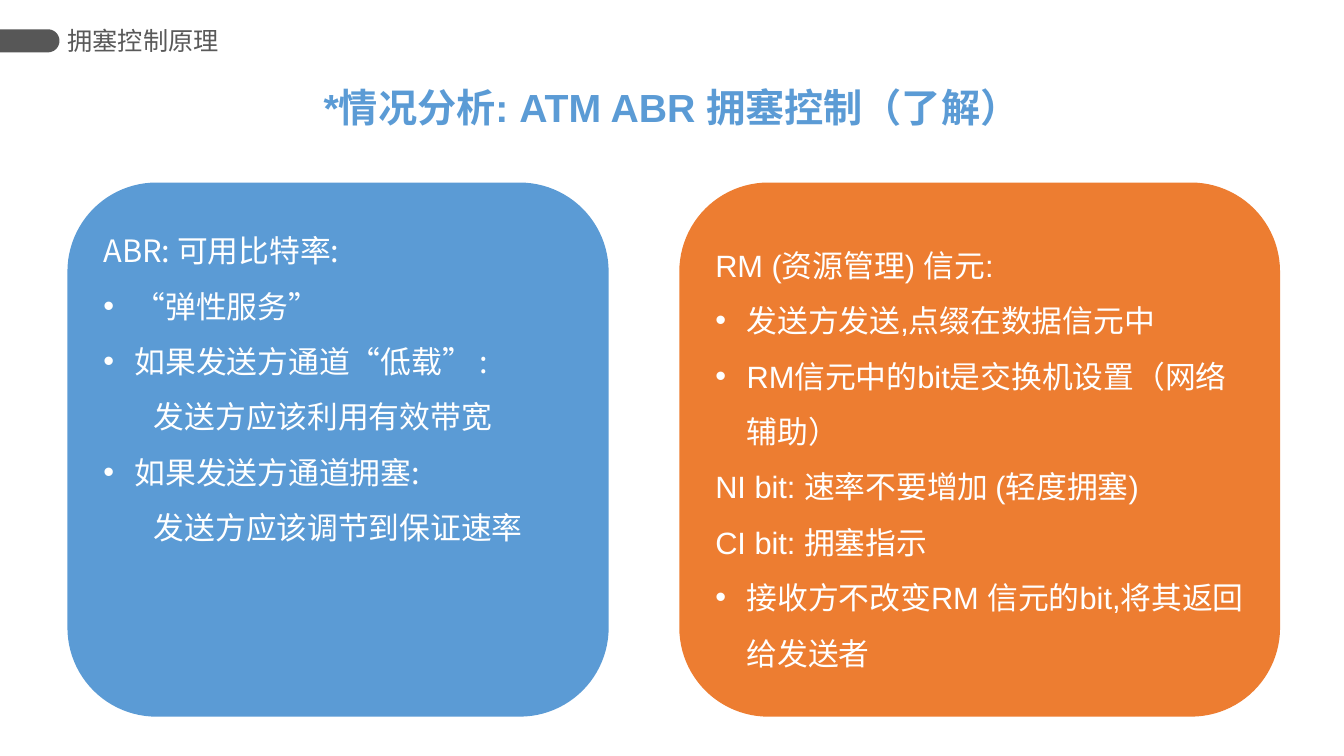
"""Build the slide on ATM ABR congestion control."""
from math import cos, pi, sin

from lxml.etree import SubElement
from pptx import Presentation
from pptx.dml.color import RGBColor
from pptx.enum.shapes import MSO_SHAPE
from pptx.enum.text import MSO_ANCHOR, PP_ALIGN
from pptx.oxml.ns import qn
from pptx.util import Cm, Pt

WHITE = RGBColor(0xFF, 0xFF, 0xFF)
BLUE = RGBColor(0x5B, 0x9B, 0xD5)
ORANGE = RGBColor(0xED, 0x7D, 0x31)
DARK_GRAY = RGBColor(0x57, 0x57, 0x57)
HEADER_GRAY = RGBColor(0x59, 0x59, 0x59)
CHINESE_FONT = "Noto Sans CJK SC"
LATIN_FONT = "Arial"


def add_text(paragraph, text, font_name, size, color, bold=False):
    run = paragraph.add_run()
    run.text = text
    run.font.name = font_name
    run.font.size = Pt(size)
    run.font.bold = bold
    run.font.color.rgb = color
    SubElement(run.font._element, qn("a:ea")).set("typeface", CHINESE_FONT)


def set_indent(paragraph, style):
    properties = paragraph._p.get_or_add_pPr()
    if style == "bullet":
        properties.set("marL", str(Cm(0.79)))
        properties.set("indent", str(-Cm(0.79)))
        SubElement(properties, qn("a:buFont")).set("typeface", LATIN_FONT)
        SubElement(properties, qn("a:buChar")).set("char", "•")
    elif style == "detail":
        paragraph.level = 1
        properties.set("marL", str(Cm(1.27)))
        properties.set("indent", "0")


presentation = Presentation()
presentation.slide_width = Cm(33.87)
presentation.slide_height = Cm(19.05)
slide = presentation.slides.add_slide(presentation.slide_layouts[6])

tab_center_x, tab_center_y, tab_radius = 1.21, 1.03, 0.29
tab_steps = 24
tab_arc = []
for step in range(tab_steps + 1):
    angle = -pi / 2 + pi * step / tab_steps
    tab_arc.append((Cm(tab_center_x + tab_radius * cos(angle)),
                    Cm(tab_center_y + tab_radius * sin(angle))))
builder = slide.shapes.build_freeform(0, Cm(tab_center_y - tab_radius))
builder.add_line_segments(tab_arc + [(0, Cm(tab_center_y + tab_radius))])
header_tab = builder.convert_to_shape()
header_tab.shadow.inherit = False
header_tab.fill.solid()
header_tab.fill.fore_color.rgb = DARK_GRAY
header_tab.line.fill.background()

header = slide.shapes.add_textbox(Cm(1.7), Cm(0.48), Cm(5.92), Cm(1.07))
header.text_frame.word_wrap = True
header.text_frame.vertical_anchor = MSO_ANCHOR.MIDDLE
header.text_frame.margin_left = header.text_frame.margin_right = 0
add_text(header.text_frame.paragraphs[0], "拥塞控制原理", LATIN_FONT, 18, HEADER_GRAY)

title = slide.shapes.add_textbox(Cm(7.82), Cm(1.98), Cm(18.21), Cm(1.45))
title.text_frame.word_wrap = True
title_paragraph = title.text_frame.paragraphs[0]
title_paragraph.alignment = PP_ALIGN.CENTER
add_text(title_paragraph, "*情况分析: ATM ABR 拥塞控制（了解）", LATIN_FONT, 28, BLUE, True)

cards = [
    (1.7, 13.64, BLUE, CHINESE_FONT, MSO_ANCHOR.TOP, [
        ("plain", "ABR: 可用比特率:"),
        ("bullet", "“弹性服务”"),
        ("bullet", "如果发送方通道“低载” :"),
        ("detail", "发送方应该利用有效带宽"),
        ("bullet", "如果发送方通道拥塞:"),
        ("detail", "发送方应该调节到保证速率"),
    ]),
    (17.12, 15.14, ORANGE, LATIN_FONT, MSO_ANCHOR.MIDDLE, [
        ("plain", "RM (资源管理) 信元:"),
        ("bullet", "发送方发送,点缀在数据信元中"),
        ("bullet", "RM信元中的bit是交换机设置（网络辅助）"),
        ("plain", "NI bit: 速率不要增加 (轻度拥塞)"),
        ("plain", "CI bit: 拥塞指示"),
        ("bullet", "接收方不改变RM 信元的bit,将其返回给发送者"),
    ]),
]
for left, width, color, font_name, anchor, lines in cards:
    card = slide.shapes.add_shape(
        MSO_SHAPE.ROUNDED_RECTANGLE, Cm(left), Cm(4.6), Cm(width), Cm(13.46))
    card.shadow.inherit = False
    card.fill.solid()
    card.fill.fore_color.rgb = color
    card.line.fill.background()
    frame = card.text_frame
    frame.word_wrap = True
    frame.vertical_anchor = anchor
    for index, (style, text) in enumerate(lines):
        paragraph = frame.add_paragraph() if index else frame.paragraphs[0]
        set_indent(paragraph, style)
        paragraph.alignment = PP_ALIGN.LEFT
        paragraph.line_spacing = 1.5
        add_text(paragraph, text, font_name, 22, WHITE)

presentation.save("out.pptx")
